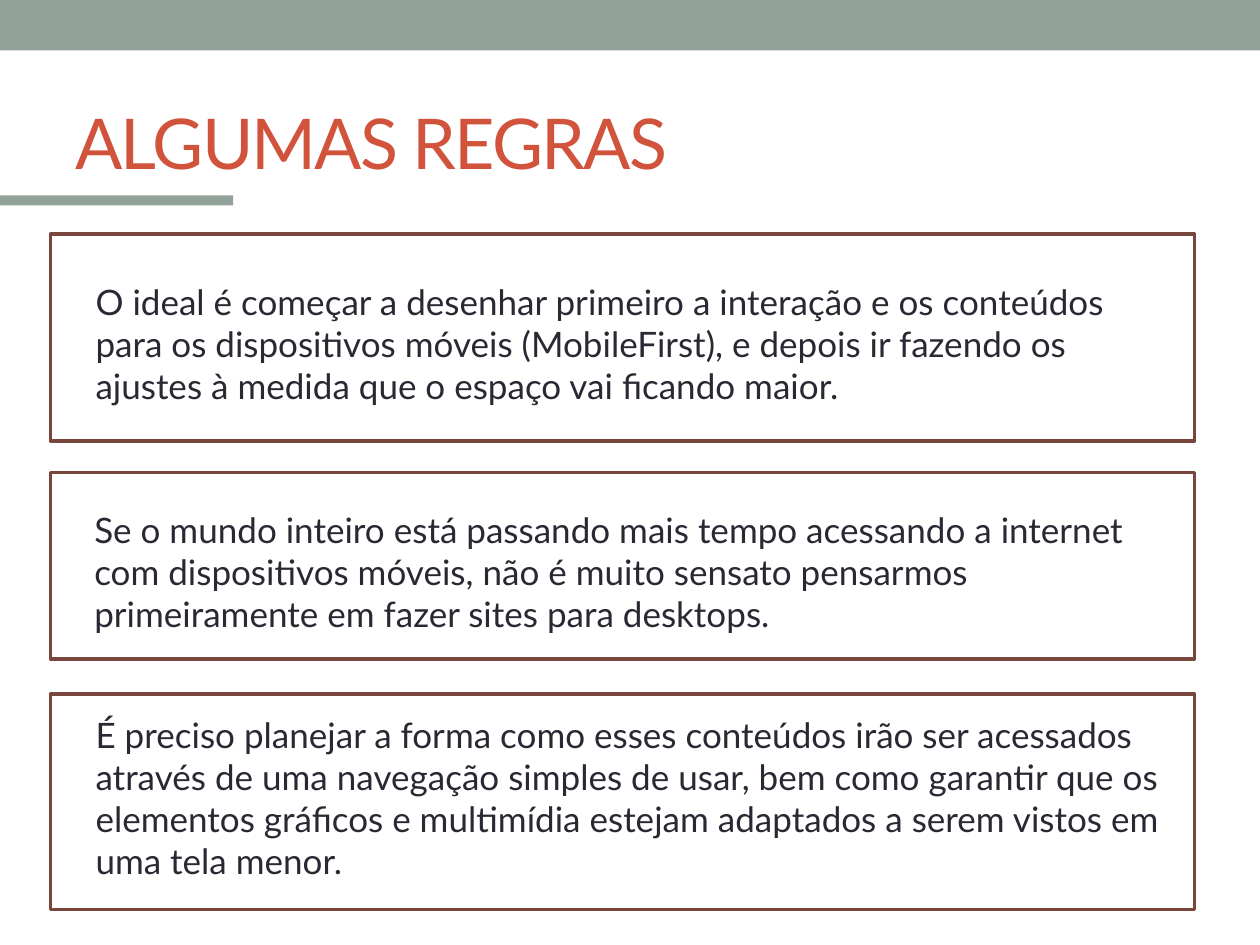
from pptx import Presentation
from pptx import util as u
from pptx.dml.color import RGBColor
from pptx.enum import shapes, text

SAGE, RED, BROWN, INK, WHITE = "93A299", "D2533C", "79463D", "292934", "FFFFFF"
LEFT, WIDE = 0.4, 9.08


def color(code):
    return RGBColor.from_string(code)


def apply(item, values):
    for name, value in values.items():
        setattr(item, name, value)


class Deck:
    """Holds the style and the current slide."""

    font = "Lato"
    edge = 2.08

    def __init__(self, wide, high):
        self.prs = Presentation()
        apply(self.prs, {"slide_width": u.Inches(wide),
                         "slide_height": u.Inches(high)})
        self.slide = self.prs.slides.add_slide(self.prs.slide_layouts[6])

    def rect(self, area, fill, line=None):
        box = self.slide.shapes.add_shape(
            shapes.MSO_SHAPE.RECTANGLE, *map(u.Inches, area))
        box.shadow.inherit = False
        box.fill.solid()
        box.fill.fore_color.rgb = color(fill)
        if line:
            box.line.color.rgb = color(line)
            box.line.width = u.Pt(self.edge)
        else:
            box.line.fill.background()

    def label(self, area, words, size, ink, anchor="TOP", space=0):
        box = self.slide.shapes.add_textbox(*map(u.Inches, area))
        frame = box.text_frame
        apply(frame, {"word_wrap": True,
                      "vertical_anchor": text.MSO_ANCHOR[anchor]})
        run = frame.paragraphs[0].add_run()
        run.text = words
        apply(run.font, {"name": self.font, "size": u.Pt(size)})
        run.font.color.rgb = color(ink)
        if space:
            # Letter spacing is stored in hundredths of a point
            run.font._element.set("spc", str(space * 100))

    def card(self, top, high, left, start, tall, words):
        self.rect((LEFT, top, WIDE, high), WHITE, BROWN)
        self.label((left, start, 8.68, tall), words, 20, INK)

    def save(self):
        self.prs.save("out.pptx")


# Top, height, text left, text top, text height, words
RULES = [
    (1.86, 1.64, 0.66, 2.18, 1.11,
     "O ideal é começar a desenhar primeiro a interação e os conteúdos "
     "para os dispositivos móveis (MobileFirst), e depois ir fazendo os "
     "ajustes à medida que o espaço vai ficando maior."),
    (3.75, 1.48, 0.65, 3.99, 1.46,
     "Se o mundo inteiro está passando mais tempo acessando a internet "
     "com dispositivos móveis, não é muito sensato pensarmos "
     "primeiramente em fazer sites para desktops."),
    (5.51, 1.71, 0.66, 5.61, 1.45,
     "É preciso planejar a forma como esses conteúdos irão ser acessados "
     "através de uma navegação simples de usar, bem como garantir que os "
     "elementos gráficos e multimídia estejam adaptados a serem vistos em "
     "uma tela menor."),
]


def main():
    deck = Deck(10, 7.5)

    # Header band, title and accent bar
    deck.rect((0, 0, 10, 0.4), SAGE)
    deck.label((0.5, 0.58, 9, 1.08), "ALGUMAS REGRAS", 40, RED, "MIDDLE", -1)
    deck.rect((-0.35, 1.55, 2.2, 0.08), SAGE)

    # One framed card per rule
    for rule in RULES:
        deck.card(*rule)

    deck.save()


if __name__ == "__main__":
    main()
